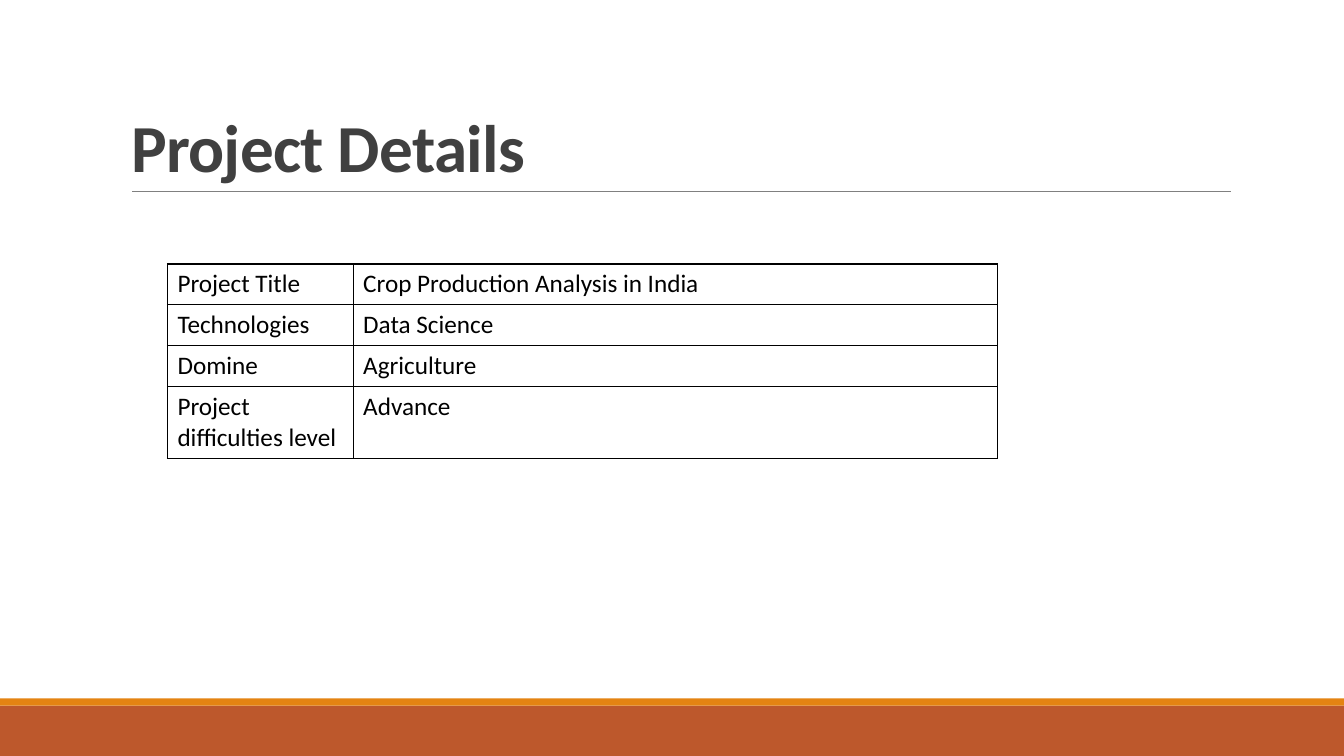
from pptx import Presentation
from pptx.dml.color import RGBColor
from pptx.enum.shapes import MSO_CONNECTOR as Connector, MSO_SHAPE as Shape
from pptx.enum.text import MSO_ANCHOR as Anchor, MSO_AUTO_SIZE as AutoSize, PP_ALIGN as Align
from pptx.oxml.ns import qn
from pptx.util import Cm, Pt
from lxml.etree import SubElement

BLACK = RGBColor(0x00, 0x00, 0x00)
CHARCOAL = RGBColor(0x40, 0x40, 0x40)
GREY = RGBColor(0x80, 0x80, 0x80)
ORANGE = RGBColor(0xE4, 0x83, 0x12)
RUST = RGBColor(0xBD, 0x58, 0x2C)

SLIDE_WIDTH, SLIDE_HEIGHT = Cm(33.87), Cm(19.05)
TITLE_FONT = {"name": "Calibri", "size": Pt(48), "bold": True}
CELL_FONT = {"name": "Calibri", "size": Pt(18), "bold": False}
TITLE_FRAME = {"vertical_anchor": Anchor.BOTTOM, "auto_size": AutoSize.NONE, "word_wrap": True}
TITLE_PARAGRAPH = {"alignment": Align.LEFT, "line_spacing": 0.85}
PLAIN_TABLE = {"first_row": False, "horz_banding": False}

DETAILS = [
    ("Project Title", "Crop Production Analysis in India"),
    ("Technologies", "Data Science"),
    ("Domine", "Agriculture"),
    ("Project difficulties level", "Advance"),
]
COLUMN_WIDTHS = [Cm(4.68), Cm(16.23)]
ROW_HEIGHTS = [Cm(1.03)] * 3 + [Cm(1.8)]


def apply_format(target, values):
    for name, value in values.items():
        setattr(target, name, value)


def write_text(paragraph, text, font_values, color):
    run = paragraph.add_run()
    run.text = text
    apply_format(run.font, font_values)
    run.font.color.rgb = color
    return run


def add_footer_bands(slide, left, top, width, height):
    stripe_height = Cm(0.18)
    bands = [
        (top + stripe_height, height - stripe_height, RUST),
        (top, stripe_height, ORANGE),
    ]
    for band_top, band_height, color in bands:
        band = slide.shapes.add_shape(Shape.RECTANGLE, left, band_top, width, band_height)
        band.shadow.inherit = False
        band.fill.solid()
        band.fill.fore_color.rgb = color
        band.line.fill.background()


def add_title(slide, left, top, width, height):
    bottom = top + height
    rule = slide.shapes.add_connector(
        Connector.STRAIGHT, left + Cm(0.28), bottom, left + width + Cm(0.03), bottom
    )
    rule.line.color.rgb = GREY
    rule.line.width = Pt(0.5)
    SubElement(rule._element.spPr, qn("a:effectLst"))

    title = slide.shapes.title
    apply_format(title, {"left": left, "top": top, "width": width, "height": height})
    apply_format(title.text_frame, TITLE_FRAME)
    paragraph = title.text_frame.paragraphs[0]
    apply_format(paragraph, TITLE_PARAGRAPH)
    run = write_text(paragraph, "Project Details", TITLE_FONT, CHARCOAL)
    run.font._element.set("spc", "-50")


def add_cell_borders(cell):
    properties = cell._tc.get_or_add_tcPr()
    for position, side in enumerate(("lnL", "lnR", "lnT", "lnB")):
        border = properties.makeelement(qn(f"a:{side}"), {"w": str(Pt(1))})
        properties.insert(position, border)
        fill = SubElement(border, qn("a:solidFill"))
        SubElement(fill, qn("a:srgbClr"), val=str(BLACK))


def add_details_table(slide, left, top, width, height):
    frame = slide.shapes.add_table(
        len(DETAILS), len(COLUMN_WIDTHS), left, top, width, height
    )
    table = frame.table
    apply_format(table, PLAIN_TABLE)
    for column, column_width in zip(table.columns, COLUMN_WIDTHS):
        column.width = column_width
    for row, row_height, texts in zip(table.rows, ROW_HEIGHTS, DETAILS):
        row.height = row_height
        for cell, text in zip(row.cells, texts):
            cell.fill.background()
            add_cell_borders(cell)
            write_text(cell.text_frame.paragraphs[0], text, CELL_FONT, BLACK)


def main():
    presentation = Presentation()
    presentation.slide_width = SLIDE_WIDTH
    presentation.slide_height = SLIDE_HEIGHT
    slide = presentation.slides.add_slide(presentation.slide_layouts[5])
    footer_height = Cm(1.45)
    add_footer_bands(slide, 0, SLIDE_HEIGHT - footer_height, SLIDE_WIDTH, footer_height)
    add_title(slide, Cm(3.05), Cm(0.79), Cm(27.94), Cm(4.03))
    add_details_table(slide, Cm(4.22), Cm(6.65), sum(COLUMN_WIDTHS), sum(ROW_HEIGHTS))
    presentation.save("out.pptx")


if __name__ == "__main__":
    main()
